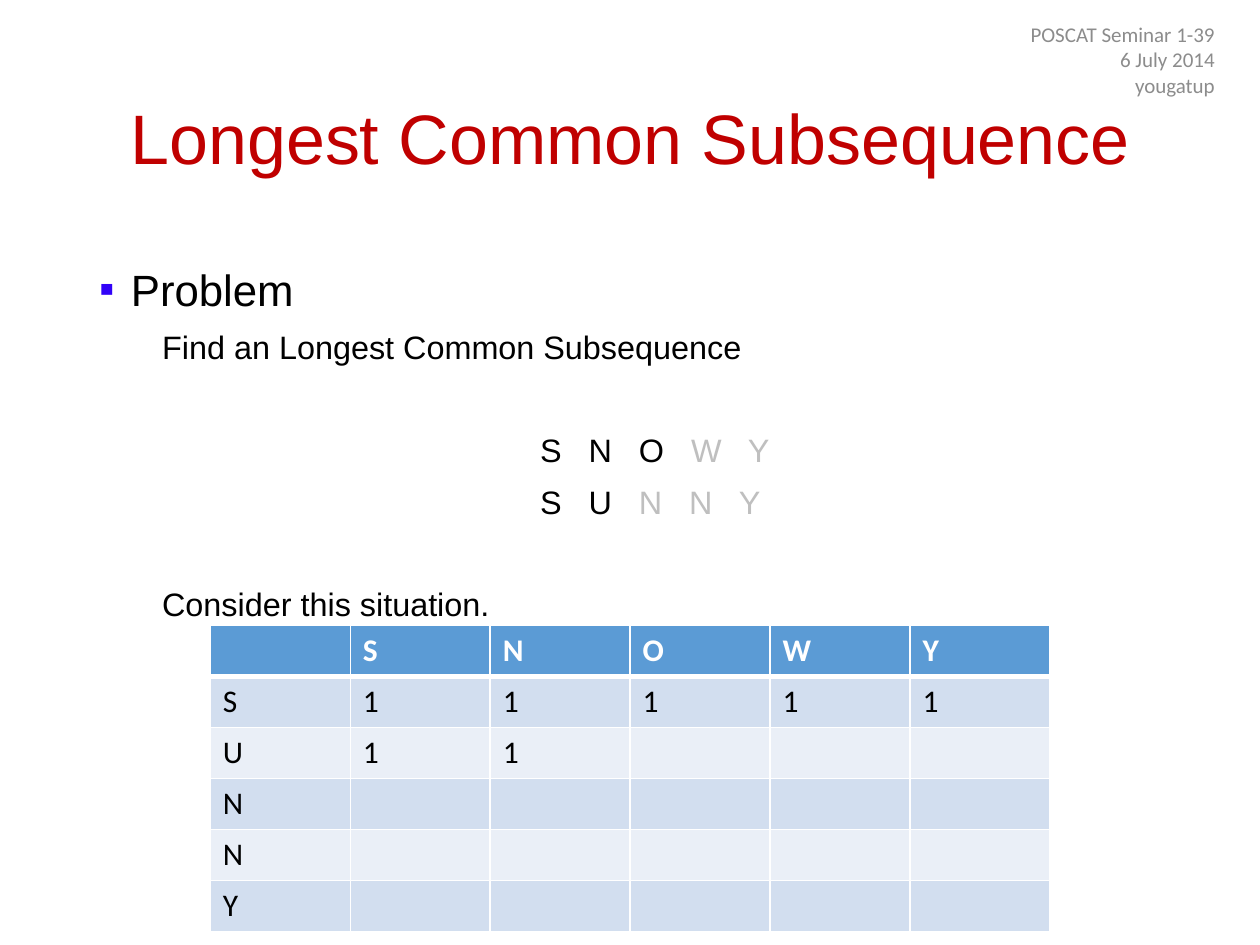
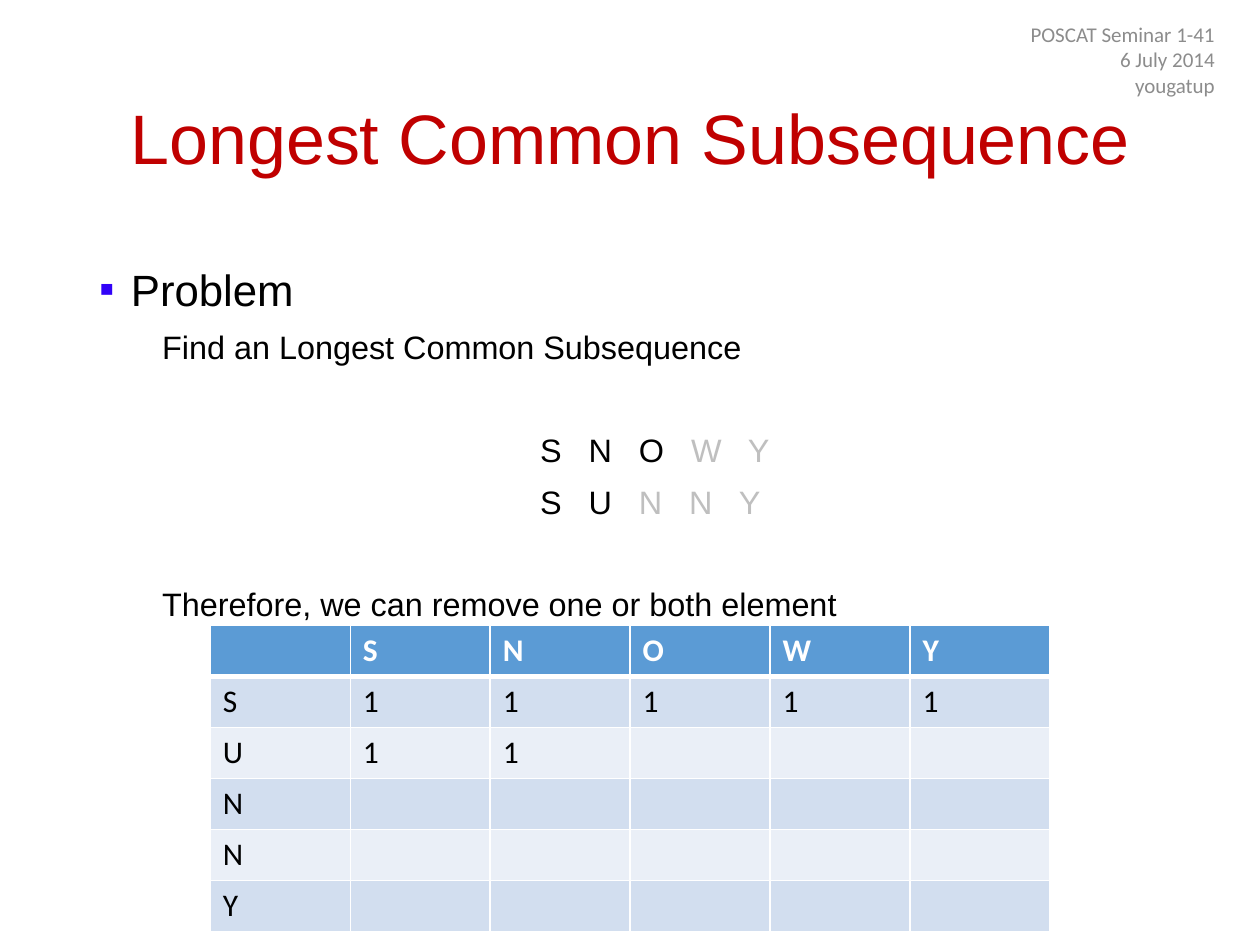
from typing import NamedTuple

from lxml import etree
from pptx import Presentation
from pptx import util as u
from pptx.dml.color import RGBColor
from pptx.enum import text
from pptx.oxml import ns

RED = RGBColor(0xC0, 0x00, 0x00)
BLACK = RGBColor(0x00, 0x00, 0x00)
WHITE = RGBColor(0xFF, 0xFF, 0xFF)
GREY = RGBColor(0x8C, 0x8C, 0x8C)
PALE_GREY = RGBColor(0xBF, 0xBF, 0xBF)
BULLET_BLUE = RGBColor(0x31, 0x02, 0xF8)
HEADER_BLUE = RGBColor(0x5B, 0x9B, 0xD5)
BANDS = (RGBColor(0xEA, 0xEF, 0xF7), RGBColor(0xD2, 0xDE, 0xEF))

TITLE = "Longest Common Subsequence"
BODY_SIZE = 18.5
BODY_GAP = 5
SECTION_GAP = 34.3
SENTENCE_INDENT = 1.27
SEQUENCE_INDENT = 8.89
LETTER_TRACKING = 5.14
GRID = (
    ("", "S", "N", "O", "W", "Y"),
    ("S", "1", "1", "1", "1", "1"),
    ("U", "1", "1", "", "", ""),
    ("N", "", "", "", "", ""),
    ("N", "", "", "", "", ""),
    ("Y", "", "", "", "", ""),
)


class Area(NamedTuple):
    left: float
    top: float
    width: float
    height: float

    def lengths(self) -> list:
        return [u.Cm(value) for value in self]


class Sequence(NamedTuple):
    active: str
    faded: str
    gap: float


class Step(NamedTuple):
    number: int
    remark: str


TITLE_AREA = Area(1.75, 1.02, 21.9, 3.68)
BODY_AREA = Area(1.75, 5.06, 21.9, 12.09)
HEADER_AREA = Area(19.02, 0.5, 5.72, 1.4)
TABLE_AREA = Area(4.24, 12.61, 16.93, 6.17)

SEQUENCES = (
    Sequence("S N O ", "W Y", SECTION_GAP),
    Sequence("S U ", "N N Y", BODY_GAP),
)
STEPS = (
    Step(39, "Consider this situation."),
    Step(41, "Therefore, we can remove one or both element"),
)


def write(para, words: str, *, size: float, font: str = "Arial",
          color: RGBColor = BLACK, bold: bool = False, tracking: float = 0) -> None:
    span = para.add_run()
    span.text = words
    span.font.size = u.Pt(size)
    span.font.name = font
    span.font.bold = bold
    span.font.color.rgb = color
    if tracking:
        span._r.get_or_add_rPr().set("spc", str(round(tracking * 100)))


def add_child(parent, tag: str, **attributes: str):
    return etree.SubElement(parent, ns.qn(tag), attributes)


def set_indent(para, margin: float, first: float = 0):
    properties = para._p.get_or_add_pPr()
    properties.set("marL", str(u.Cm(margin)))
    properties.set("indent", str(u.Cm(first)))
    return properties


def add_body_para(frame, gap: float, margin: float):
    para = frame.add_paragraph()
    para.line_spacing = 1.1
    para.space_before = u.Pt(gap)
    set_indent(para, margin)
    return para


def add_box(page, area: Area):
    frame = page.shapes.add_textbox(*area.lengths()).text_frame
    frame.word_wrap = True
    return frame


def add_title(page) -> None:
    title = page.shapes.title
    title.left, title.top, title.width, title.height = TITLE_AREA.lengths()
    frame = title.text_frame
    frame.vertical_anchor = text.MSO_ANCHOR.MIDDLE
    para = frame.paragraphs[0]
    para.alignment = text.PP_ALIGN.CENTER
    para.line_spacing = 0.9
    write(para, TITLE, size=40, color=RED)


def add_sequence(frame, sequence: Sequence) -> None:
    para = add_body_para(frame, sequence.gap, SEQUENCE_INDENT)
    for letters, color in ((sequence.active, BLACK), (sequence.faded, PALE_GREY)):
        write(para, letters, size=BODY_SIZE, color=color, tracking=LETTER_TRACKING)


def add_sentence(frame, words: str, gap: float) -> None:
    write(add_body_para(frame, gap, SENTENCE_INDENT), words, size=BODY_SIZE)


def add_body(page, remark: str) -> None:
    frame = add_box(page, BODY_AREA)
    heading = frame.paragraphs[0]
    heading.line_spacing = 1.1
    properties = set_indent(heading, 0.64, -0.64)
    add_child(add_child(properties, "a:buClr"), "a:srgbClr", val=str(BULLET_BLUE))
    add_child(properties, "a:buFont", typeface="Arial")
    add_child(properties, "a:buChar", char="▪")
    write(heading, "Problem", size=25)
    add_sentence(frame, "Find an Longest Common Subsequence", BODY_GAP)
    for sequence in SEQUENCES:
        add_sequence(frame, sequence)
    add_sentence(frame, remark, SECTION_GAP)


def add_header(page, number: int) -> None:
    frame = add_box(page, HEADER_AREA)
    frame.vertical_anchor = text.MSO_ANCHOR.MIDDLE
    lines = (f"POSCAT Seminar 1-{number}", "6 July 2014", "yougatup")
    for index, line in enumerate(lines):
        para = frame.add_paragraph() if index else frame.paragraphs[0]
        para.alignment = text.PP_ALIGN.RIGHT
        write(para, line, size=12, font="Calibri", color=GREY)


def set_borders(cell, row: int) -> None:
    properties = cell._tc.get_or_add_tcPr()
    widths = {"L": 1, "R": 1, "T": 3 if row == 1 else 1, "B": 3 if row == 0 else 1}
    for side, width in widths.items():
        line = add_child(properties, f"a:ln{side}", w=str(u.Pt(width)))
        add_child(add_child(line, "a:solidFill"), "a:srgbClr", val=str(WHITE))


def add_grid(page) -> None:
    table = page.shapes.add_table(len(GRID), len(GRID[0]), *TABLE_AREA.lengths()).table
    table.first_row = table.horz_banding = False
    for row, values in enumerate(GRID):
        is_header = row == 0
        for column, value in enumerate(values):
            cell = table.cell(row, column)
            set_borders(cell, row)
            cell.fill.solid()
            cell.fill.fore_color.rgb = HEADER_BLUE if is_header else BANDS[row % 2]
            para = cell.text_frame.paragraphs[0]
            if value:
                write(para, value, size=18, font="Calibri",
                      color=WHITE if is_header else BLACK, bold=is_header)
            else:
                para.font.size = u.Pt(18)


def add_step(deck, step: Step) -> None:
    page = deck.slides.add_slide(deck.slide_layouts[5])
    add_title(page)
    add_body(page, step.remark)
    add_header(page, step.number)
    add_grid(page)


def main() -> None:
    deck = Presentation()
    deck.slide_width, deck.slide_height = u.Cm(25.4), u.Cm(19.05)
    for step in STEPS:
        add_step(deck, step)
    deck.save("out.pptx")


if __name__ == "__main__":
    main()
